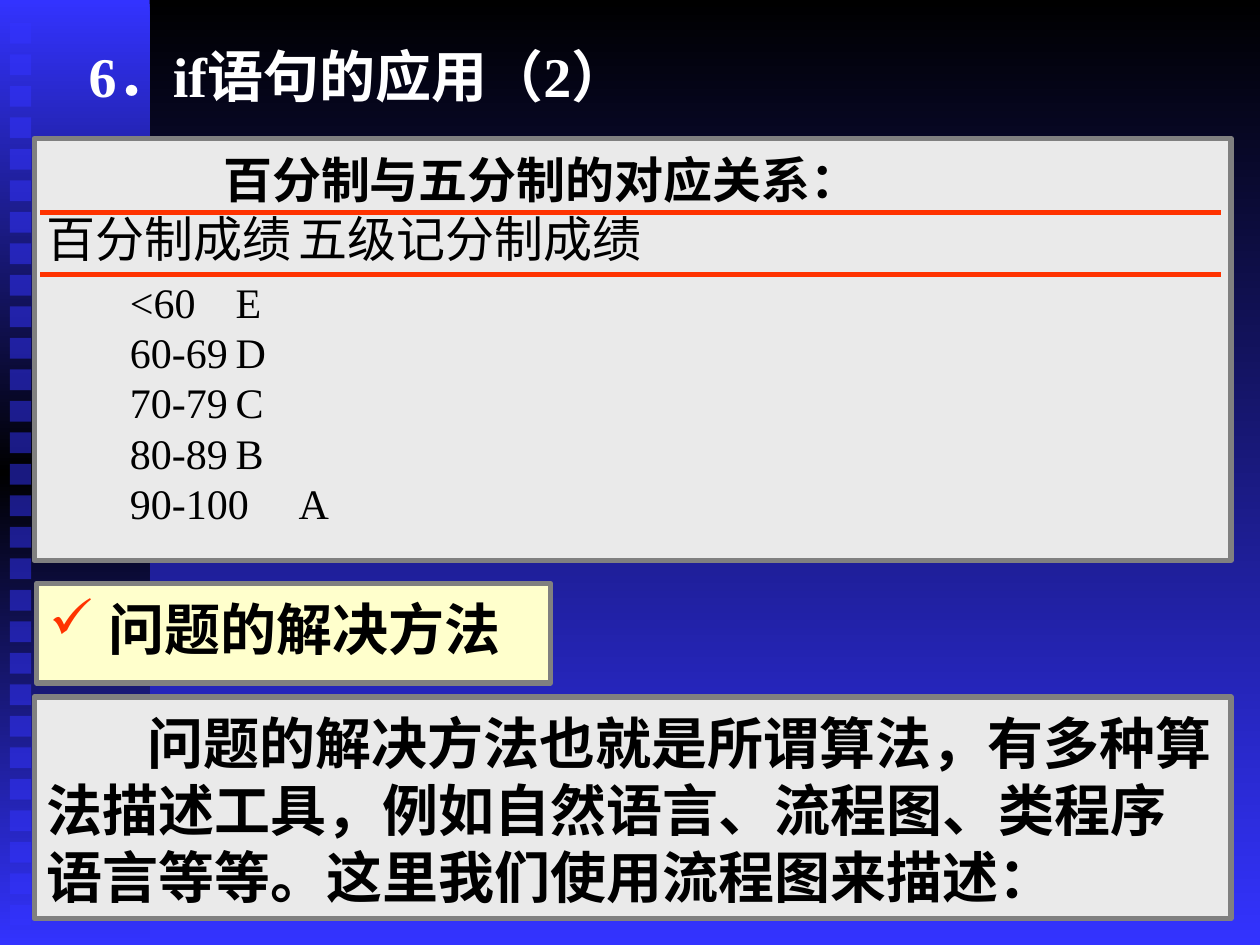
from lxml.etree import SubElement as Sub
from pptx import Presentation as Deck
from pptx.dml.color import RGBColor as Rgb
from pptx.enum.shapes import MSO_CONNECTOR as Link, MSO_SHAPE as Form
from pptx.enum.text import MSO_ANCHOR as Anchor, PP_ALIGN as Align
from pptx.oxml.ns import qn
from pptx.util import Cm, Pt


def tint(code):
    return Rgb.from_string(code)


def blend(fill, holder, *codes):
    fill.gradient()
    fill.gradient_angle = 270
    stops = next(holder.iter(qn("a:gsLst")))
    for old in list(stops):
        stops.remove(old)
    for i, code in enumerate(codes):
        stop = Sub(stops, qn("a:gs"), pos=str(100000 * i // (len(codes) - 1)))
        Sub(stop, qn("a:srgbClr"), val=code)


def write(frame, text, size=32, bold=True, color="000000", font="Times New Roman",
          align=Align.LEFT, left=0, first=0, before=0, lead=None, tab=None,
          mark=None, hue="FF3300"):
    para = frame.paragraphs[0]
    if para.runs:
        para = frame.add_paragraph()
    para.alignment = align
    para.space_before = Pt(before)
    if lead:
        para.line_spacing = Pt(lead)
    props = para._p.get_or_add_pPr()
    props.set("marL", str(Cm(left)))
    props.set("indent", str(Cm(first)))
    if mark:
        Sub(Sub(props, qn("a:buClr")), qn("a:srgbClr"), val=hue)
        Sub(props, qn("a:buChar"), char=mark)
    if tab:
        Sub(Sub(props, qn("a:tabLst")), qn("a:tab"), pos=str(Cm(tab)), algn="l")
    run = para.add_run()
    run.text = text
    run.font.name = font
    run.font.size = Pt(size)
    run.font.bold = bold
    run.font.color.rgb = tint(color)


class Page:
    blue, black, grey, red = "3333FF", "000000", "808080", "FF3300"
    pale, cream, white = "EAEAEA", "FFFFCC", "FFFFFF"

    def __init__(self, deck):
        self.slide = deck.slides.add_slide(deck.slide_layouts[6])
        self.shapes = self.slide.shapes
        blend(self.slide.background.fill, self.slide._element, self.black, self.blue)

    def box(self, *place):
        shape = self.shapes.add_shape(Form.RECTANGLE, *map(Cm, place))
        shape.shadow.inherit = False
        shape.line.fill.background()
        return shape

    def band(self, *place):
        shape = self.box(*place)
        blend(shape.fill, shape._element, self.blue, self.black, self.blue)

    def square(self, *place):
        shape = self.box(*place)
        shape.fill.solid()
        shape.fill.fore_color.rgb = tint(self.blue)
        color = next(shape._element.spPr.iter(qn("a:srgbClr")))
        Sub(color, qn("a:alpha"), val="50000")

    def frame(self, shape, top):
        frame = shape.text_frame
        frame.word_wrap = True
        frame.vertical_anchor = Anchor.TOP
        frame.margin_left = frame.margin_right = Cm(0.25)
        frame.margin_top, frame.margin_bottom = Cm(top), Cm(0.13)
        return frame

    def panel(self, color, *place):
        shape = self.box(*place)
        shape.fill.solid()
        shape.fill.fore_color.rgb = tint(color)
        shape.line.color.rgb = tint(self.grey)
        shape.line.width = Pt(3)
        return self.frame(shape, 0.23)

    def label(self, *place):
        return self.frame(self.shapes.add_textbox(*map(Cm, place)), 0.13)

    def rule(self, left, right, y):
        line = self.shapes.add_connector(Link.STRAIGHT, Cm(left), Cm(y), Cm(right), Cm(y))
        line.line.color.rgb = tint(self.red)
        line.line.width = Pt(3)
        Sub(line._element.spPr, qn("a:effectLst"))


def main():
    deck = Deck()
    deck.slide_width, deck.slide_height = Cm(25.4), Cm(19.05)
    page = Page(deck)

    page.band(0, 0, 3.02, 19.05)
    for i in range(29):
        page.square(0.2, 0.46 + i * 17.78 / 28, 0.43, 0.42)

    grades = page.panel(page.pale, 0.69, 2.79, 24.13, 8.51)
    write(grades, "百分制与五分制的对应关系：", size=28, first=3.56)
    write(grades, "百分制成绩\t五级记分制成绩", size=28, bold=False, tab=5.8)
    rows = [("<60", "E"), ("60-69", "D"), ("70-79", "C"), ("80-89", "B"), ("90-100", "A")]
    for i, row in enumerate(rows):
        write(grades, "\t".join(row), size=24, bold=False, first=1.68, tab=6.8,
              lead=28.8, before=0 if i else 5)

    title = page.label(0.69, 0.71, 23.6, 1.9)
    write(title, "6．if语句的应用（2）", color=page.white, align=Align.JUSTIFY, first=0.85)

    method = page.panel(page.cream, 0.74, 11.76, 10.36, 2.01)
    write(method, "问题的解决方法", left=1.2, first=-1.2, mark="✓", hue=page.red)

    detail = page.panel(page.pale, 0.69, 14.05, 24.13, 4.47)
    write(detail, "问题的解决方法也就是所谓算法，有多种算法描述工具，例如自然语言、"
                  "流程图、类程序语言等等。这里我们使用流程图来描述：", first=2.03)

    for y in (4.29, 5.54):
        page.rule(0.81, 24.61, y)

    deck.save("out.pptx")


if __name__ == "__main__":
    main()
